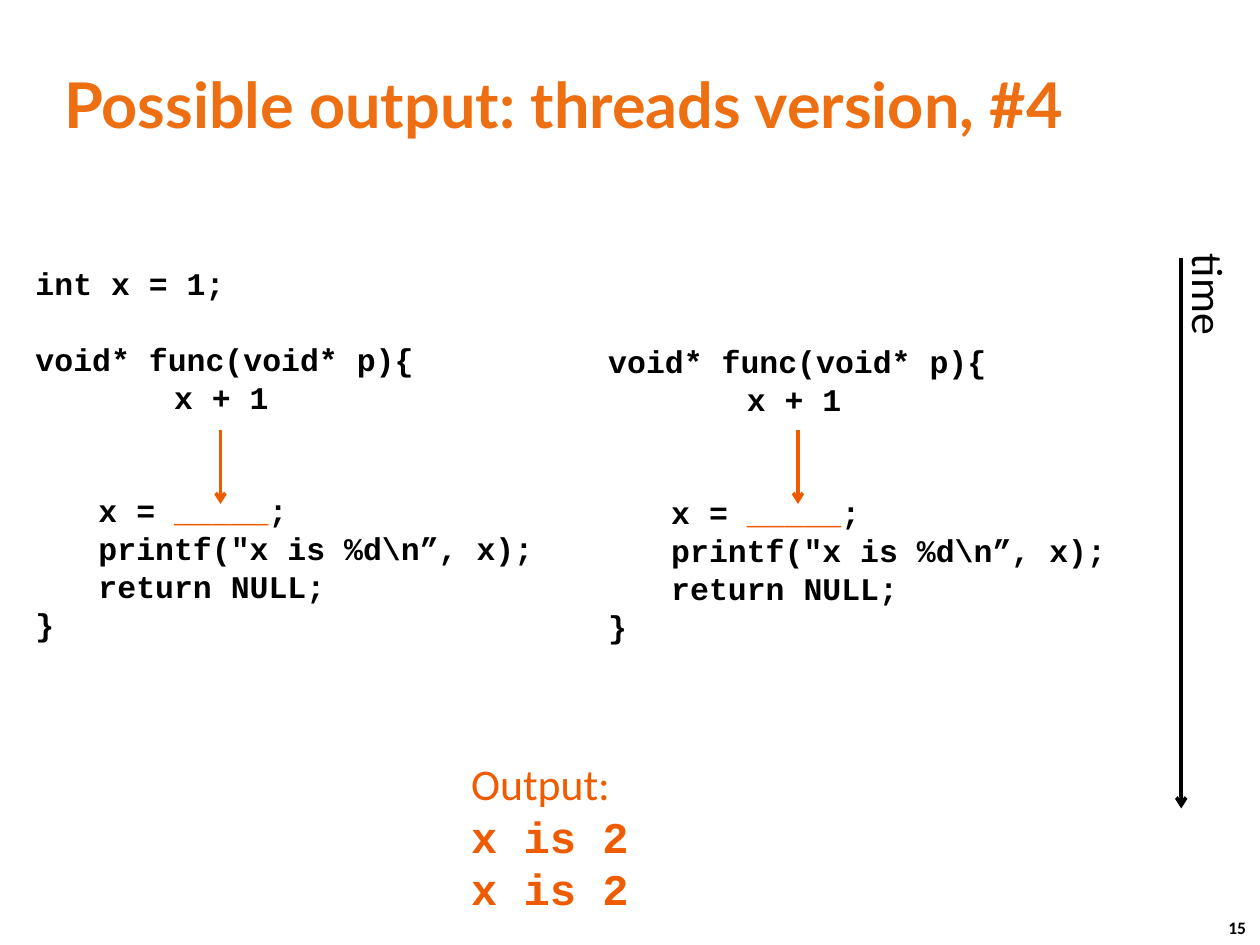
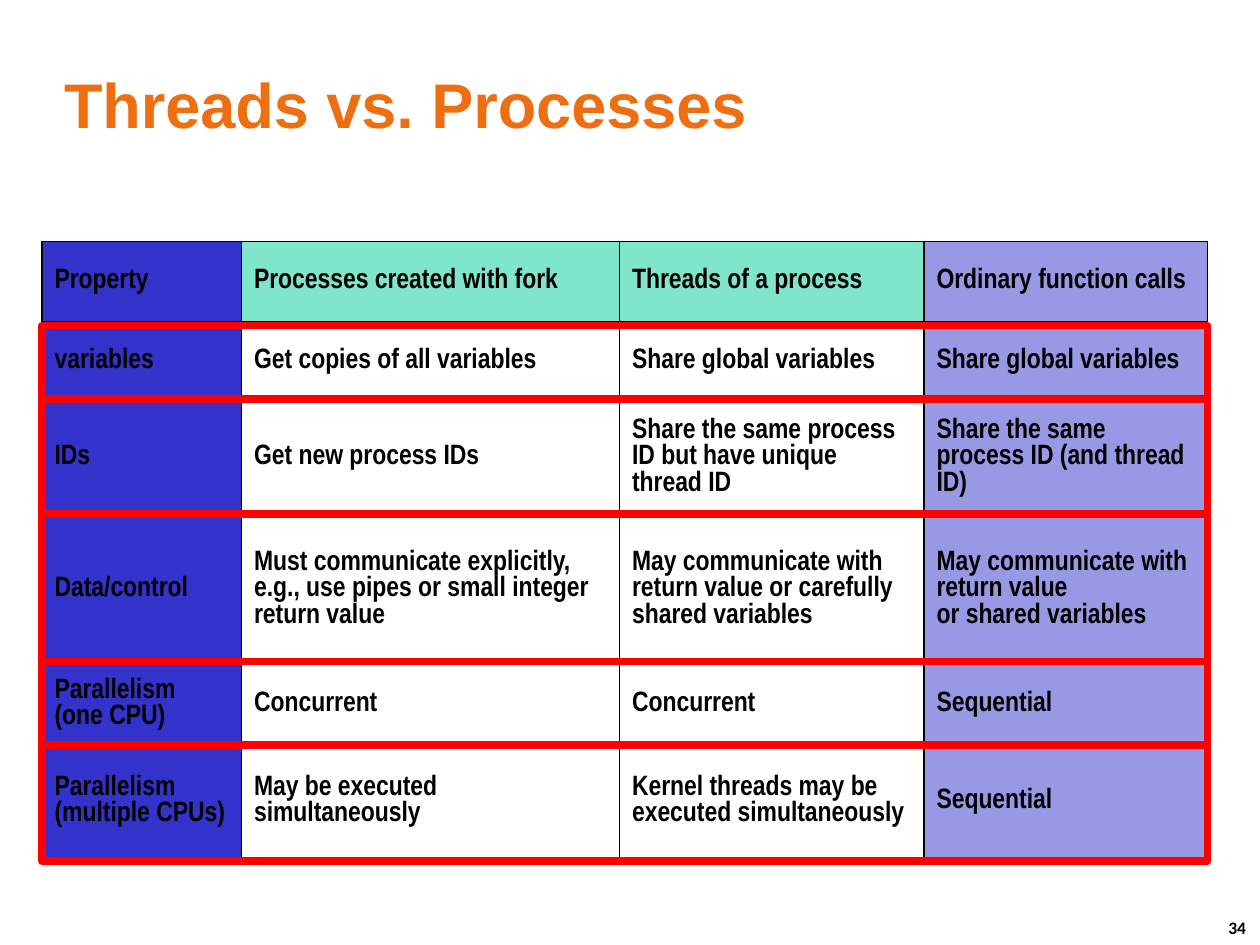
from lxml import etree
from pptx import Presentation
from pptx.dml.color import RGBColor as Rgb
from pptx.enum.shapes import MSO_CONNECTOR as Link, MSO_SHAPE as Shape
from pptx.enum.text import MSO_ANCHOR as Anchor, PP_ALIGN as Align
from pptx.oxml import parse_xml
from pptx.oxml.ns import nsdecls, qn
from pptx.util import Inches, Pt

WIDE, HIGH = Inches(10), Inches(7.5)
COLS, ROWS = 120, 90
BLACK, ORANGE, TITLE = "000000", "EF5B00", "EE6E12"
BLUE, GREEN, RED = "3333CC", "00CC99", "FF0000"
MONO = "Courier New"
BLANK = "_____"

DECL = ("int x = 1;", 0, 0)
HEAD = "void* func(void* p){"
# Text, indent in inches, blank lines above
BODY = [
    ("x + 1", 1.1, 0),
    (f"x = {BLANK};", 0.5, 2),
    ('printf("x is %d\\n”, x);', 0.5, 0),
    ("return NULL;", 0.5, 0),
    ("}", 0, 0),
]

GRID = [
    ["Property", "Processes created with fork", "Threads of a process",
     "Ordinary function calls"],
    ["variables", "Get copies of all variables", "Share global variables",
     "Share global variables"],
    ["IDs", "Get new process IDs",
     "Share the same process ID but have unique thread ID",
     "Share the same process ID (and thread ID)"],
    ["Data/control",
     "Must communicate explicitly, e.g., use pipes or small integer return value",
     "May communicate with return value or carefully shared variables",
     "May communicate with return value\nor shared variables"],
    ["Parallelism (one CPU)", "Concurrent", "Concurrent", "Sequential"],
    ["Parallelism (multiple CPUs)", "May be executed simultaneously",
     "Kernel threads may be executed simultaneously", "Sequential"],
]
WIDTHS = [19, 36, 29, 27]
HEIGHTS = [7.6, 7.6, 10.8, 14.3, 7.6, 10.8]
FRAMES = [7, 11, 14, 8, 11]


def rgb(code):
    return Rgb.from_string(code)


def col(n):
    return int(WIDE * n / COLS)


def row(n):
    return int(HIGH * n / ROWS)


def place(box):
    """Turn left, top, width and height in grid cells into lengths."""
    x, y, w, h = box
    return col(x), row(y), col(w), row(h)


def say(frame, text, size=18, font="Calibri", color=BLACK, bold=False,
        indent=0, gap=0, lead=None, mark=None):
    """Add a paragraph; mark is a (part, colour) pair to pick out."""
    para = frame.paragraphs[0]
    if para.runs:
        para = frame.add_paragraph()
    para.alignment = Align.LEFT
    para.space_before = Pt(gap)
    if lead:
        para.line_spacing = lead
    if indent:
        props = para._p.get_or_add_pPr()
        props.set("marL", str(Inches(indent)))
        props.set("indent", "0")
    part, tint = mark or (None, color)
    bits = text.partition(part) if part else [text]
    for bit in filter(None, bits):
        for i, line in enumerate(bit.split("\n")):
            if i:
                para.add_line_break()
            run = para.add_run()
            run.text = line
            face = run.font
            face.size, face.name, face.bold = Pt(size), font, bold
            face.color.rgb = rgb(tint if bit == part else color)


def note(slide, box, turn=0, wrap=True):
    shape = slide.shapes.add_textbox(*place(box))
    shape.rotation = turn
    shape.text_frame.word_wrap = wrap
    return shape.text_frame


def arrow(slide, x, top, end, color):
    line = slide.shapes.add_connector(
        Link.STRAIGHT, col(x), row(top), col(x), row(end))
    line.line.color.rgb = rgb(color)
    line.line.width = Pt(2)
    tail = etree.SubElement(line.line._get_or_add_ln(), qn("a:tailEnd"))
    tail.set("type", "arrow")
    etree.SubElement(line._element.spPr, qn("a:effectLst"))


def start(deck, title, font, page):
    slide = deck.slides.add_slide(deck.slide_layouts[5])
    head = slide.shapes.title
    head.left, head.top, head.width, head.height = place((4.9, 4.8, 110, 10))
    head.text_frame.vertical_anchor = Anchor.MIDDLE
    say(head.text_frame, title, size=36, font=font, color=TITLE, bold=True)
    foot = note(slide, (115.8, 86.7, 4.2, 3.2), wrap=False)
    foot.margin_right = 0
    say(foot, page, size=10, bold=True)
    return slide


def code(slide, box, lines):
    frame = note(slide, box)
    pitch = 21.6
    for text, indent, skip in lines:
        say(frame, text, font=MONO, bold=True, indent=indent,
            gap=skip * pitch, lead=Pt(pitch), mark=(BLANK, ORANGE))


def clock(slide, box):
    x, y, w, h = box
    arrow(slide, x, y, y + h, BLACK)
    say(note(slide, (x - 2.4, y + 0.4, 10.2, w), 90), "time", size=25)


def result(slide, box):
    frame = note(slide, box)
    say(frame, "Output:", size=25, color=ORANGE)
    for _ in range(2):
        say(frame, "x is 2", size=25, font=MONO, color=ORANGE, bold=True,
            lead=Pt(30))


def paint(cell, color, alpha):
    if not color:
        cell.fill.background()
        return
    cell.fill.solid()
    cell.fill.fore_color.rgb = rgb(color)
    if alpha:
        tint = cell._tc.tcPr.find(".//" + qn("a:srgbClr"))
        etree.SubElement(tint, qn("a:alpha")).set("val", str(alpha * 1000))


def edge(cell):
    for i, side in enumerate(("lnL", "lnR", "lnT", "lnB")):
        cell._tc.get_or_add_tcPr().insert(i, parse_xml(
            f'<a:{side} {nsdecls("a")} w="{Pt(0.75)}"><a:solidFill>'
            f'<a:srgbClr val="{BLACK}"/></a:solidFill></a:{side}>'))


def shade(r, c):
    """Give the colour and opacity of a cell by its row and column."""
    if c == 0:
        return BLUE, None
    if c == 3:
        return BLUE, 50
    return (GREEN, 50) if r == 0 else (None, None)


def chart(slide, box):
    """Draw the comparison table."""
    table = slide.shapes.add_table(
        len(GRID), len(WIDTHS), *place(box)).table
    table.first_row = table.horz_banding = False
    for c, w in enumerate(WIDTHS):
        table.columns[c].width = col(box[2] * w / sum(WIDTHS))
    for r, h in enumerate(HEIGHTS):
        table.rows[r].height = row(box[3] * h / sum(HEIGHTS))
        for c, text in enumerate(GRID[r]):
            cell = table.cell(r, c)
            cell.vertical_anchor = Anchor.MIDDLE
            say(cell.text_frame, text, size=16, font="Arial Narrow",
                bold=True)
            paint(cell, *shade(r, c))
            edge(cell)


def frames(slide, box):
    """Outline each body row in red."""
    x, y, w, h = box
    for share in FRAMES:
        tall = h * share / sum(FRAMES)
        rect = slide.shapes.add_shape(
            Shape.RECTANGLE, *place((x, y, w, tall)))
        rect.shadow.inherit = False
        rect.fill.background()
        rect.line.color.rgb = rgb(RED)
        rect.line.width = Pt(4.5)
        y += tall


def main():
    deck = Presentation()
    deck.slide_width, deck.slide_height = WIDE, HIGH

    race = start(deck, "Possible output: threads version, #4", "Lato", "15")
    code(race, (2.2, 24.6, 50.4, 37.5), [DECL, (HEAD, 0, 1), *BODY])
    code(race, (56.75, 32, 50.4, 30.2), [(HEAD, 0, 0), *BODY])
    clock(race, (112.5, 24.6, 6.2, 52.4))
    result(race, (43.7, 71.5, 17.5, 16.3))
    for x in (21, 76):
        arrow(race, x, 41, 48, ORANGE)

    versus = start(deck, "Threads vs. Processes", "Arial", "34")
    chart(versus, (4, 23, sum(WIDTHS), sum(HEIGHTS)))
    frames(versus, (4, 31, sum(WIDTHS), sum(FRAMES)))

    deck.save("out.pptx")


if __name__ == "__main__":
    main()
